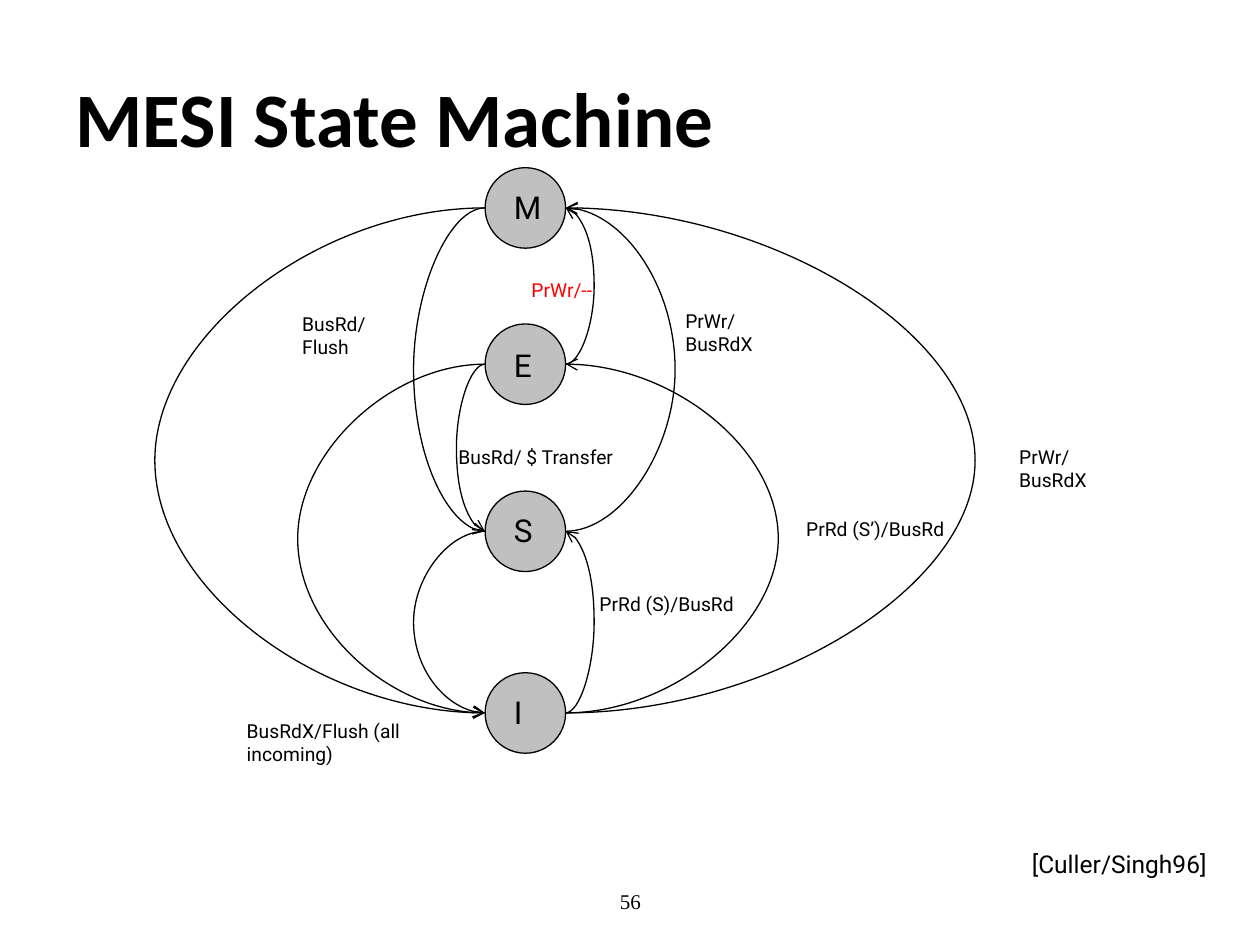
from dataclasses import dataclass

from lxml.etree import SubElement
from pptx import Presentation
from pptx.dml.color import RGBColor
from pptx.enum.shapes import MSO_CONNECTOR as Connector, MSO_SHAPE as Shape
from pptx.enum.text import MSO_ANCHOR as Anchor, PP_ALIGN as Align
from pptx.oxml.ns import qn
from pptx.util import Pt


@dataclass(frozen=True)
class Theme:
    ink: RGBColor = RGBColor(0, 0, 0)
    accent: RGBColor = RGBColor(255, 0, 0)
    paper: RGBColor = RGBColor(255, 255, 255)
    state: RGBColor = RGBColor(192, 192, 192)
    title_font: str = "Calibri"
    body_font: str = "Roboto"
    number_font: str = "Times New Roman"
    title_size: float = 44
    state_size: float = 18
    source_size: float = 14
    number_size: float = 12
    label_size: float = 11
    line: float = 0.75


THEME = Theme()

# State circles: shared left edge and diameter, one centre height each
CIRCLE_LEFT, DIAMETER = 277.2, 46
CENTRES = {"M": 118.8, "E": 208.1, "S": 303.6, "I": 407.4}
# Letter boxes: top and width
LETTERS = {"M": (103.7, 28.8), "E": (194.4, 24.5), "S": (288.7, 24.5), "I": (392.4, 21.6)}

# Transitions: from, to, bulge (right is positive, left is negative)
TRANSITIONS = [
    ("I", "S", 18), ("I", "E", 134), ("I", "M", 258),
    ("S", "M", 69), ("E", "M", 18),
    ("E", "S", -18), ("M", "S", -45), ("M", "I", -208),
    ("E", "I", -118), ("S", "I", -45),
]

# Transition labels: text, left, top, width, wrapped, colour
LABELS = [
    ("PrWr/BusRdX", 575.3, 250.6, 80.6, True, THEME.ink),
    ("PrRd (S’)/BusRd", 453.6, 292.3, 93.6, False, THEME.ink),
    ("PrRd (S)/BusRd", 335.5, 334.8, 91.4, False, THEME.ink),
    ("PrWr/BusRdX", 384.5, 173, 80.6, True, THEME.ink),
    ("PrWr/--", 296.6, 155.5, 51.1, False, THEME.accent),
    ("BusRd/ $ Transfer", 254.9, 250.6, 103.7, False, THEME.ink),
    ("BusRd/Flush", 165.6, 175, 75.6, True, THEME.ink),
    ("BusRdX/Flush (all incoming)", 133.9, 407.5, 152.6, True, THEME.ink),
]
LABEL_HEIGHT = 20.5


def style(para, font, size, color, bold=False, align=Align.LEFT):
    para.alignment = align
    para.font.name = font
    para.font.size = Pt(size)
    para.font.bold = bold
    para.font.color.rgb = color


def add_text(page, text, left, top, width, height, size,
             color=THEME.ink, font=THEME.body_font, wrap=False, align=Align.LEFT):
    box = page.shapes.add_textbox(Pt(left), Pt(top), Pt(width), Pt(height))
    box.text_frame.word_wrap = wrap
    para = box.text_frame.paragraphs[0]
    para.text = text
    style(para, font, size, color, align=align)
    return box


def add_title(page, text):
    title = page.shapes.title
    title.left, title.top, title.width, title.height = Pt(36), Pt(21.6), Pt(648), Pt(90)
    title.text_frame.vertical_anchor = Anchor.MIDDLE
    title.text_frame.text = text
    style(title.text_frame.paragraphs[0], THEME.title_font, THEME.title_size,
          THEME.ink, bold=True)


def add_label(page, text, left, top, width, wrap, color):
    box = add_text(page, text, left, top, width, LABEL_HEIGHT,
                   THEME.label_size, color, wrap=wrap)
    box.fill.solid()
    box.fill.fore_color.rgb = THEME.paper


def add_state(page, centre):
    circle = page.shapes.add_shape(Shape.OVAL, Pt(CIRCLE_LEFT), Pt(centre - DIAMETER / 2),
                                   Pt(DIAMETER), Pt(DIAMETER))
    circle.shadow.inherit = False
    circle.fill.solid()
    circle.fill.fore_color.rgb = THEME.state
    circle.line.color.rgb = THEME.ink
    circle.line.width = Pt(THEME.line)


def add_transition(page, start, end, bulge):
    # The bulge is stored relative to the width, so the width must not be zero
    side = 1 if bulge > 0 else -1
    width = 0.125
    x = CIRCLE_LEFT + (DIAMETER if bulge > 0 else 0)
    arc = page.shapes.add_connector(Connector.CURVE, Pt(x), Pt(CENTRES[start]),
                                    Pt(x + side * width), Pt(CENTRES[end]))
    arc.line.color.rgb = THEME.ink
    arc.line.width = Pt(THEME.line)
    properties = arc.element.spPr
    guides = properties.find(qn("a:prstGeom")).get_or_add_avLst()
    SubElement(guides, qn("a:gd"), name="adj1",
               fmla=f"val {round(abs(bulge) / width * 100000)}")
    SubElement(properties.find(qn("a:ln")), qn("a:tailEnd"), type="arrow")
    SubElement(properties, qn("a:effectLst"))


def main():
    deck = Presentation()
    deck.slide_width, deck.slide_height = Pt(720), Pt(540)
    page = deck.slides.add_slide(deck.slide_layouts[5])

    # Labels lie behind the diagram
    for label in LABELS:
        add_label(page, *label)

    # Title and page number
    add_title(page, "MESI State Machine")
    number = add_text(page, "56", 246.2, 500.4, 228.2, 28.8, THEME.number_size,
                      font=THEME.number_font, wrap=True, align=Align.CENTER)
    number.text_frame.vertical_anchor = Anchor.MIDDLE

    # States and their letters
    for centre in CENTRES.values():
        add_state(page, centre)
    for letter, (top, width) in LETTERS.items():
        add_text(page, letter, 286.6, top, width, 28.8, THEME.state_size)

    # Transitions
    for transition in TRANSITIONS:
        add_transition(page, *transition)

    # Source
    add_text(page, "[Culler/Singh96]", 582.5, 481.7, 116.6, 24.5, THEME.source_size)

    deck.save("out.pptx")


if __name__ == "__main__":
    main()
